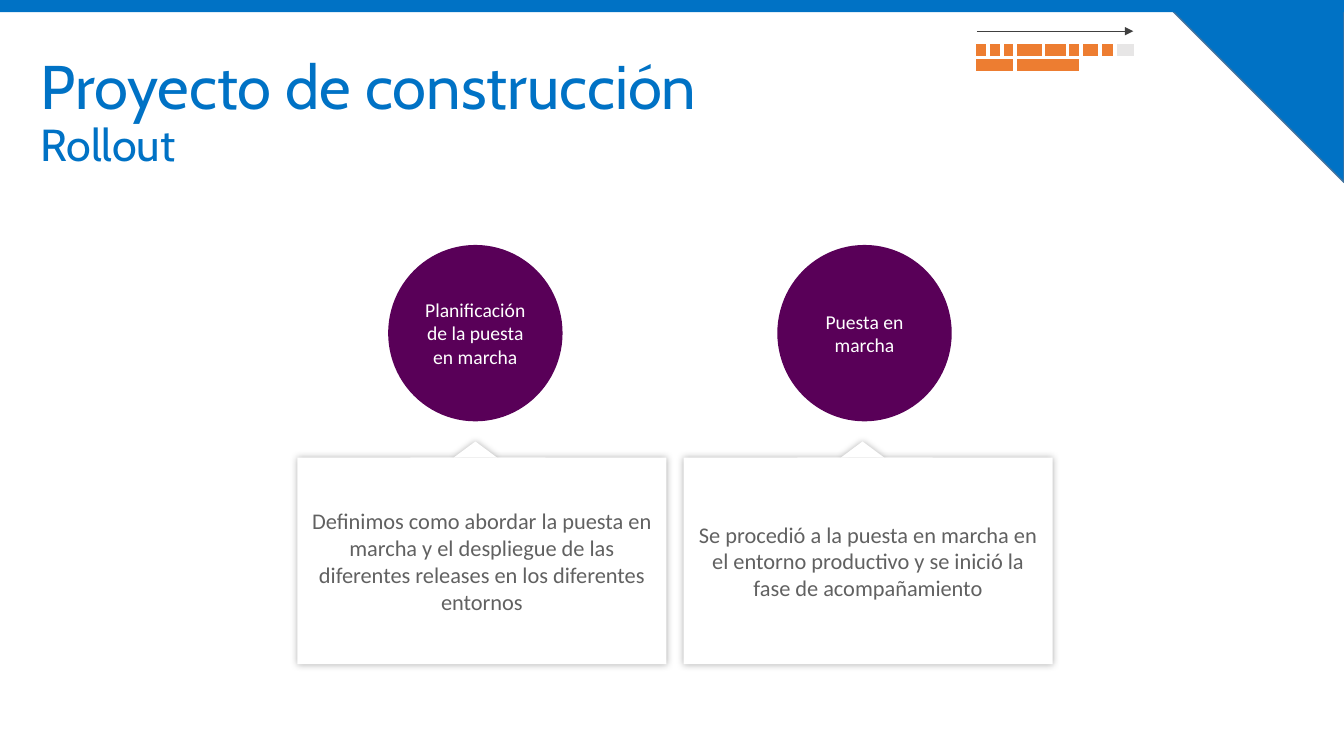
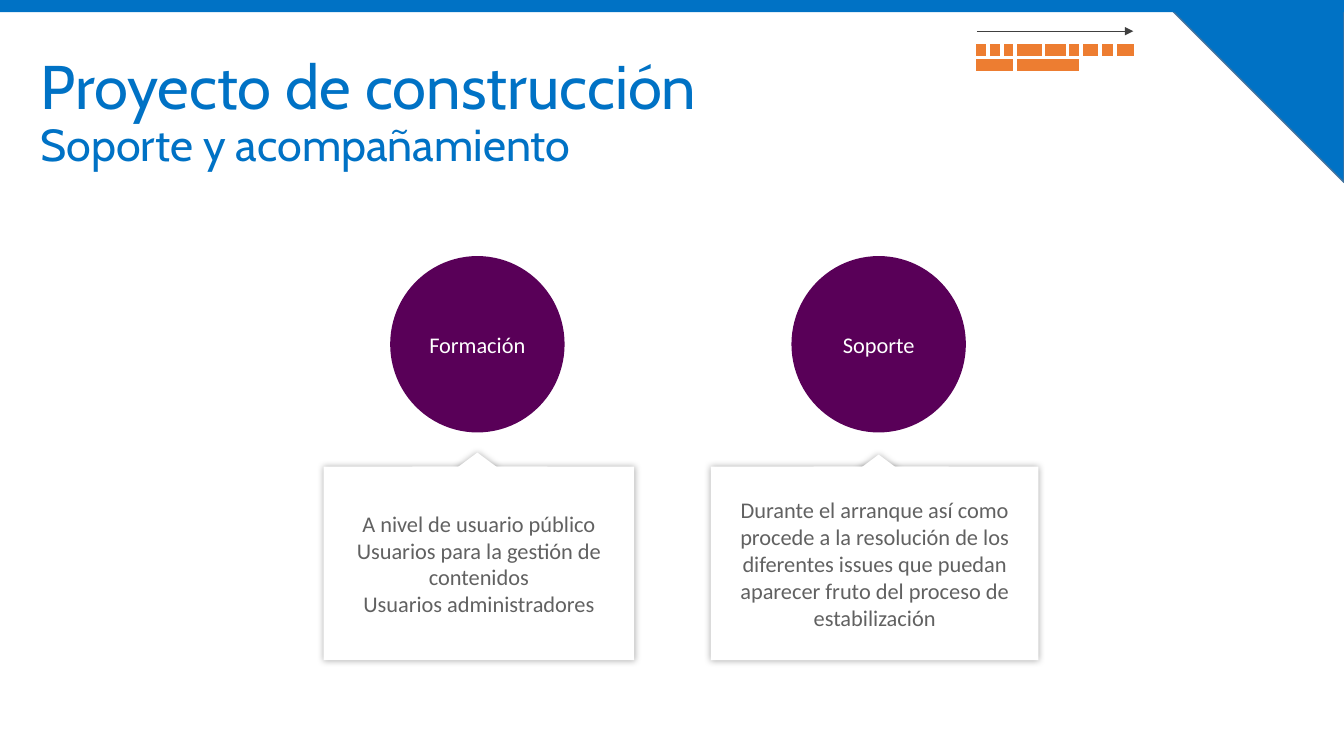
from itertools import accumulate

from lxml.etree import SubElement
from pptx import Presentation
from pptx.dml.color import RGBColor
from pptx.enum.shapes import MSO_CONNECTOR, MSO_SHAPE
from pptx.enum.text import MSO_ANCHOR, MSO_AUTO_SIZE, PP_ALIGN
from pptx.oxml import parse_xml
from pptx.oxml.ns import nsdecls, qn
from pptx.util import Pt

# Scale: 100 px to the inch
PX = 9144
WIDTH, HEIGHT = 1333, 750

# Colours
BLUE = RGBColor(0x00, 0x72, 0xC5)
EDGE = RGBColor(0x43, 0x73, 0x9E)
PURPLE = RGBColor(0x59, 0x00, 0x58)
ORANGE = RGBColor(0xED, 0x7D, 0x31)
PENDING = RGBColor(0xE7, 0xE6, 0xE6)
INK = RGBColor(0x61, 0x61, 0x61)
ARROW = RGBColor(0x40, 0x40, 0x40)
WHITE = RGBColor(0xFF, 0xFF, 0xFF)

# Progress strip: one column per phase, one merged cell per stage
PHASES = (14, 14, 13, 28, 24, 13, 19, 15, 21)
STAGES = ((0, 2), (3, 5))


def write(frame, paragraphs, font="Calibri", color=INK, align=PP_ALIGN.CENTER,
          spacing=None):
    """Fill a text frame; each paragraph is a list of lines (text, size)."""
    frame.word_wrap = True
    frame.auto_size = MSO_AUTO_SIZE.NONE
    frame.vertical_anchor = MSO_ANCHOR.MIDDLE
    for index, lines in enumerate(paragraphs):
        paragraph = frame.paragraphs[0] if index == 0 else frame.add_paragraph()
        paragraph.alignment = align
        paragraph.line_spacing = spacing
        for position, (text, size) in enumerate(lines):
            if position:
                paragraph.add_line_break()
            run = paragraph.add_run()
            run.text = text
            run.font.name = font
            run.font.size = Pt(size)
            run.font.color.rgb = color


class Deck:
    def __init__(self):
        self.presentation = Presentation()
        self.presentation.slide_width = WIDTH * PX
        self.presentation.slide_height = HEIGHT * PX
        self.layout = self.presentation.slide_layouts[5]
        self.slide = None

    def start(self, subtitle):
        """Add a slide with its two-line title."""
        first = self.slide is None
        self.slide = self.presentation.slides.add_slide(self.layout)
        if first:
            self.decorate_layout()
        title = self.slide.shapes.title
        title.left, title.top = 30 * PX, 40 * PX
        title.width, title.height = 1211 * PX, 145 * PX
        write(title.text_frame, [[("Proyecto de construcción", 44), (subtitle, 32)]],
              font="Cabin", color=BLUE, align=PP_ALIGN.LEFT, spacing=0.9)

    def shape(self, preset, left, top, width, height, fill, edge=None, glow=False):
        shape = self.slide.shapes.add_shape(
            preset, left * PX, top * PX, width * PX, height * PX)
        shape.fill.solid()
        shape.fill.fore_color.rgb = fill
        if edge is None:
            shape.line.fill.background()
        else:
            shape.line.color.rgb = edge
            shape.line.width = Pt(1)
        shape.shadow.inherit = False
        if glow:
            effects = shape.element.spPr.find(qn("a:effectLst"))
            effects.append(parse_xml(
                f'<a:outerShdw {nsdecls("a")} blurRad="{Pt(5)}" dist="0" algn="ctr">'
                '<a:srgbClr val="000000"><a:alpha val="29000"/></a:srgbClr>'
                '</a:outerShdw>'))
        return shape

    def decorate_layout(self):
        """Place the corner and the top band on the shared layout."""
        corner = self.shape(MSO_SHAPE.RIGHT_TRIANGLE, WIDTH - 181, 0, 181, 181,
                            BLUE, edge=EDGE)
        corner.rotation = 180
        band = self.shape(MSO_SHAPE.RECTANGLE, 0, 0, WIDTH, 12, BLUE)
        for part in (corner, band):
            self.layout.shapes.element.append(part.element)

    def circle(self, left, top, label, size):
        circle = self.shape(MSO_SHAPE.OVAL, left, top, 173, 175, PURPLE)
        write(circle.text_frame, [[(label, size)]], color=WHITE)

    def card(self, left, top, width, height, pointer, paragraphs):
        """Add a shadowed card, its pointer and the patch that joins them."""
        card = self.shape(MSO_SHAPE.RECTANGLE, left, top, width, height, WHITE,
                          glow=True)
        write(card.text_frame, [[(text, 16)] for text in paragraphs])
        tip_left, tip_top = pointer
        self.shape(MSO_SHAPE.ISOSCELES_TRIANGLE, tip_left, tip_top, 43, 16, WHITE,
                   glow=True)
        self.shape(MSO_SHAPE.RECTANGLE, tip_left - 43, top, 134, 25, WHITE)

    def progress(self, done):
        """Add the phase strip with its time arrow."""
        strip = self.slide.shapes.add_table(
            2, len(PHASES), 966 * PX, 42 * PX, sum(PHASES) * PX, 30 * PX).table
        strip.first_row = strip.horz_banding = False
        for column, width in zip(strip.columns, PHASES):
            column.width = width * PX
        for row in strip.rows:
            row.height = 15 * PX
        for index in range(len(PHASES)):
            self.cell(strip.cell(0, index), ORANGE if index < done else PENDING)
            in_stage = index <= STAGES[-1][1]
            self.cell(strip.cell(1, index), ORANGE if in_stage else None)
        for start, end in STAGES:
            strip.cell(1, start).merge(strip.cell(1, end))
        self.arrow(969, 1124, 31)

    def cell(self, cell, fill):
        cell.margin_left = cell.margin_right = 0
        cell.margin_top = cell.margin_bottom = 0
        # A tiny empty paragraph keeps the row low
        SubElement(cell.text_frame.paragraphs[0]._p, qn("a:endParaRPr"), sz="100")
        if fill is None:
            cell.fill.background()
        else:
            cell.fill.solid()
            cell.fill.fore_color.rgb = fill
        properties = cell._tc.get_or_add_tcPr()
        for order, side in enumerate("LRTB"):
            properties.insert(order, parse_xml(
                f'<a:ln{side} {nsdecls("a")} w="{Pt(3)}"><a:solidFill>'
                f'<a:srgbClr val="{WHITE}"/></a:solidFill></a:ln{side}>'))

    def arrow(self, start, end, y):
        arrow = self.slide.shapes.add_connector(
            MSO_CONNECTOR.STRAIGHT, start * PX, y * PX, end * PX, y * PX)
        arrow.line.color.rgb = ARROW
        arrow.line.width = Pt(0.5)
        properties = arrow.element.spPr
        SubElement(properties.find(qn("a:ln")), qn("a:tailEnd"), type="triangle")
        SubElement(properties, qn("a:effectLst"))


def main():
    deck = Deck()

    # Rollout
    deck.start("Rollout")
    deck.circle(385, 243, "Planificación de la puesta en marcha", 14)
    deck.circle(771, 243, "Puesta en marcha", 14)
    deck.card(295, 454, 366, 205, (450, 438), [
        "Definimos como abordar la puesta en marcha y el despliegue de las "
        "diferentes releases en los diferentes entornos"])
    deck.card(678, 454, 366, 205, (834, 438), [
        "Se procedió a la puesta en marcha en el entorno productivo y se inició "
        "la fase de acompañamiento"])
    deck.progress(done=8)

    # Support
    deck.start("Soporte y acompañamiento")
    deck.circle(387, 254, "Formación", 16)
    deck.circle(785, 254, "Soporte", 16)
    deck.card(321, 463, 308, 192, (452, 449), [
        "A nivel de usuario público",
        "Usuarios para la gestión de contenidos",
        "Usuarios administradores"])
    deck.card(705, 463, 325, 192, (850, 451), [
        "Durante el arranque así como procede a la resolución de los diferentes "
        "issues que puedan aparecer fruto del proceso de estabilización"])
    deck.progress(done=9)

    deck.presentation.save("out.pptx")


if __name__ == "__main__":
    main()
